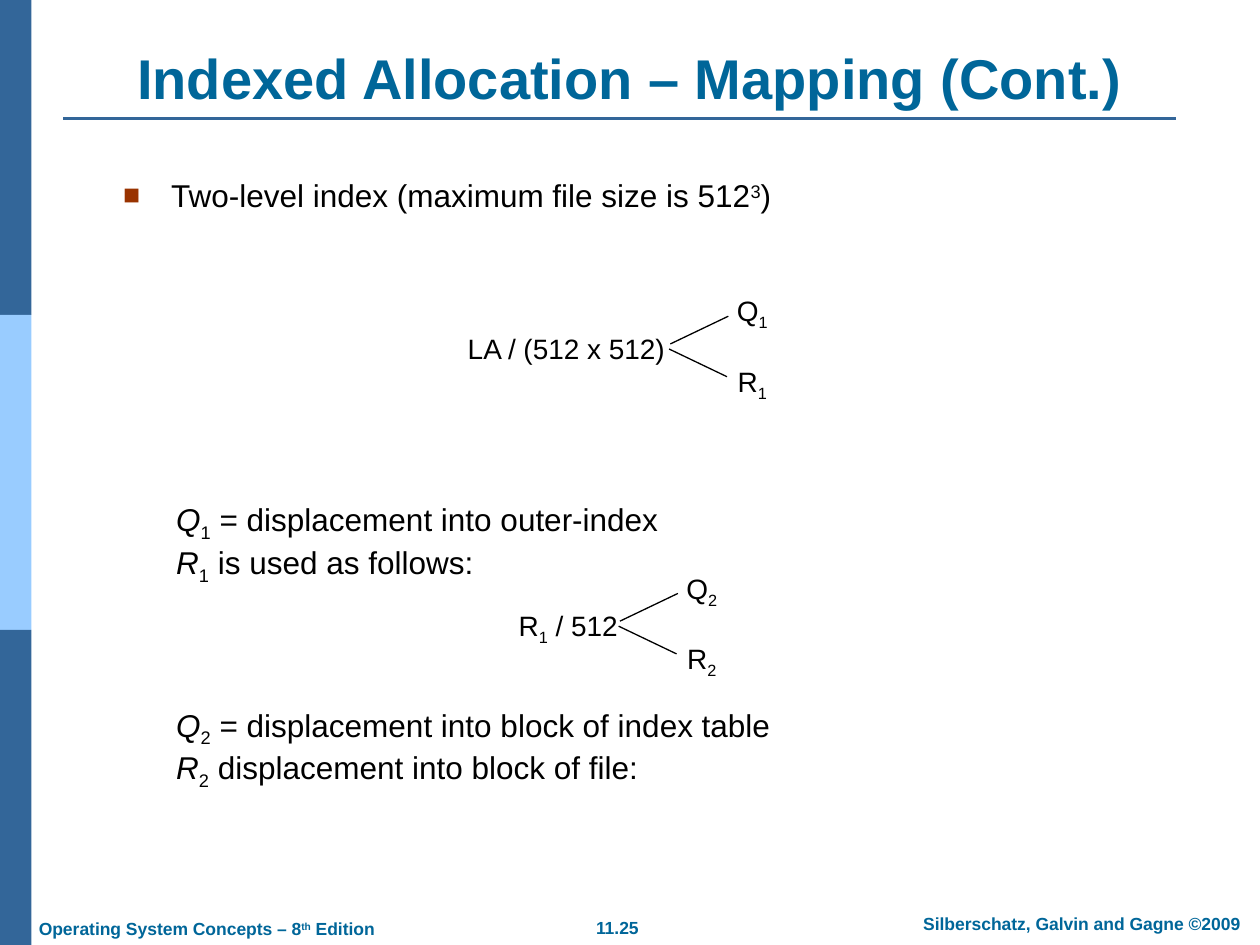
from dataclasses import dataclass

from lxml import etree
from pptx import Presentation
from pptx.dml.color import RGBColor
from pptx.enum.shapes import MSO_CONNECTOR, MSO_SHAPE
from pptx.enum.text import MSO_ANCHOR, MSO_AUTO_SIZE, PP_ALIGN
from pptx.oxml.ns import qn
from pptx.util import Emu, Pt

LINE = MSO_CONNECTOR.STRAIGHT
RECTANGLE = MSO_SHAPE.RECTANGLE
TOP, MIDDLE, BOTTOM = MSO_ANCHOR.TOP, MSO_ANCHOR.MIDDLE, MSO_ANCHOR.BOTTOM
LEFT, CENTER = PP_ALIGN.LEFT, PP_ALIGN.CENTER
NO_AUTOFIT = MSO_AUTO_SIZE.NONE
EMU_PER_PX = 9144
TITLE_ONLY = 5


@dataclass(frozen=True)
class Theme:
    font: str = "Arial"
    heading: str = "006699"
    ink: str = "000000"
    bar: str = "336699"
    bar_light: str = "99CCFF"
    bullet: str = "993300"
    title_size: int = 32
    body_size: int = 18
    label_size: int = 16
    footer_size: int = 10


@dataclass(frozen=True)
class Area:
    left: int
    top: int
    width: int
    height: int


@dataclass(frozen=True)
class Span:
    text: str
    baseline: int = 0
    italic: bool = False


@dataclass(frozen=True)
class Style:
    size: int
    color: str
    bold: bool = False
    align: PP_ALIGN = LEFT
    anchor: MSO_ANCHOR = TOP
    wrap: bool = True
    indent: int = 0


@dataclass(frozen=True)
class Division:
    apex_x: int
    apex_y: int
    label_area: Area
    label: list[Span]
    index: str


@dataclass(frozen=True)
class Explanation:
    area: Area
    index: str
    quotient: str
    remainder: str


THEME = Theme()
FOOTER = Style(THEME.footer_size, THEME.heading, bold=True, align=CENTER, wrap=False)
FOOTER_LEFT = Style(THEME.footer_size, THEME.heading, bold=True, wrap=False)
TITLE = Style(THEME.title_size, THEME.heading, bold=True, align=CENTER, anchor=BOTTOM)
BODY = Style(THEME.body_size, THEME.ink)
LABEL = Style(THEME.label_size, THEME.ink, align=CENTER, anchor=MIDDLE, wrap=False)
EXPLANATION = Style(THEME.body_size, THEME.ink, indent=38)

FOOTERS = [
    (Area(437, 723, 106, 27), [Span("11.25")], FOOTER),
    (Area(710, 720, 297, 27), [Span("Silberschatz, Galvin and Gagne ©2009")], FOOTER),
    (Area(21, 724, 286, 27),
     [Span("Operating System Concepts – 8"), Span("th", 30), Span(" Edition")], FOOTER_LEFT),
]
DIVISIONS = [
    Division(532, 273, Area(361, 258, 177, 37), [Span("LA / (512 x 512)")], "1"),
    Division(492, 493, Area(402, 478, 98, 41),
             [Span("R"), Span("1", -25), Span(" / 512")], "2"),
]
EXPLANATIONS = [
    Explanation(Area(92, 392, 769, 81), "1",
                " = displacement into outer-index", " is used as follows:"),
    Explanation(Area(92, 555, 769, 81), "2",
                " = displacement into block of index table", " displacement into block of file:"),
]


def px(length: int) -> Emu:
    return Emu(length * EMU_PER_PX)


def place(area: Area) -> tuple[Emu, Emu, Emu, Emu]:
    return px(area.left), px(area.top), px(area.width), px(area.height)


def write(box, lines: list[list[Span]], style: Style) -> None:
    frame = box.text_frame
    frame.auto_size = NO_AUTOFIT
    frame.word_wrap = style.wrap
    frame.vertical_anchor = style.anchor
    frame.text = "\n".join("" for _ in lines)
    for para, spans in zip(frame.paragraphs, lines):
        para.alignment = style.align
        if style.indent:
            para._p.get_or_add_pPr().set("marL", str(px(style.indent)))
        for span in spans:
            run = para.add_run()
            run.text = span.text
            font = run.font
            font.name, font.size = THEME.font, Pt(style.size)
            font.bold, font.italic = style.bold, span.italic
            font.color.rgb = RGBColor.from_string(style.color)
            if span.baseline:
                run._r.get_or_add_rPr().set("baseline", str(span.baseline * 1000))


def add_text(slide, area: Area, lines: list[list[Span]], style: Style):
    box = slide.shapes.add_textbox(*place(area))
    write(box, lines, style)
    return box


def add_bar(slide, area: Area, color: str) -> None:
    bar = slide.shapes.add_shape(RECTANGLE, *place(area))
    bar.shadow.inherit = False
    bar.fill.solid()
    bar.fill.fore_color.rgb = RGBColor.from_string(color)
    bar.line.fill.background()


def add_line(slide, start: tuple[int, int], end: tuple[int, int], color: str, width: float) -> None:
    line = slide.shapes.add_connector(LINE, *map(px, start + end))
    line.line.color.rgb = RGBColor.from_string(color)
    line.line.width = Pt(width)
    etree.SubElement(line._element.spPr, qn("a:effectLst"))


def add_bullet(para) -> None:
    properties = para._p.get_or_add_pPr()
    properties.set("marL", str(px(38)))
    properties.set("indent", str(px(-38)))
    color = etree.SubElement(properties, qn("a:buClr"))
    etree.SubElement(color, qn("a:srgbClr"), val=THEME.bullet)
    etree.SubElement(properties, qn("a:buSzPct"), val="90000")
    etree.SubElement(properties, qn("a:buFont"), typeface=THEME.font)
    etree.SubElement(properties, qn("a:buChar"), char="■")


def add_division(slide, division: Division) -> None:
    x, y = division.apex_x, division.apex_y
    add_text(slide, division.label_area, [division.label], LABEL)
    for letter, offset in (("Q", -45), ("R", 11)):
        area = Area(x + 43, y + offset, 44, 41)
        add_text(slide, area, [[Span(letter), Span(division.index, -25)]], LABEL)
    add_line(slide, (x, y), (x + 46, y - 22), THEME.ink, 0.75)
    add_line(slide, (x - 1, y + 4), (x + 45, y + 26), THEME.ink, 0.75)


def add_explanation(slide, explanation: Explanation) -> None:
    meanings = (("Q", explanation.quotient), ("R", explanation.remainder))
    lines = [[Span(letter, italic=True), Span(explanation.index, -25), Span(meaning)]
             for letter, meaning in meanings]
    add_text(slide, explanation.area, lines, EXPLANATION)


def main() -> None:
    deck = Presentation()
    deck.slide_width, deck.slide_height = px(1000), px(750)
    slide = deck.slides.add_slide(deck.slide_layouts[TITLE_ONLY])

    for row, color in enumerate((THEME.bar, THEME.bar_light, THEME.bar)):
        add_bar(slide, Area(0, row * 250, 25, 250), color)
    add_line(slide, (50, 94), (933, 94), THEME.bar, 1.5)
    for area, spans, style in FOOTERS:
        add_text(slide, area, [spans], style)

    title = slide.shapes.title
    title.left, title.top, title.width, title.height = place(Area(50, 30, 900, 63))
    write(title, [[Span("Indexed Allocation – Mapping (Cont.)")]], TITLE)

    topic = [Span("Two-level index (maximum file size is 512"), Span("3", 30), Span(")")]
    body = add_text(slide, Area(88, 135, 900, 63), [topic], BODY)
    add_bullet(body.text_frame.paragraphs[0])

    for division, explanation in zip(DIVISIONS, EXPLANATIONS):
        add_division(slide, division)
        add_explanation(slide, explanation)
    deck.save("out.pptx")


if __name__ == "__main__":
    main()
